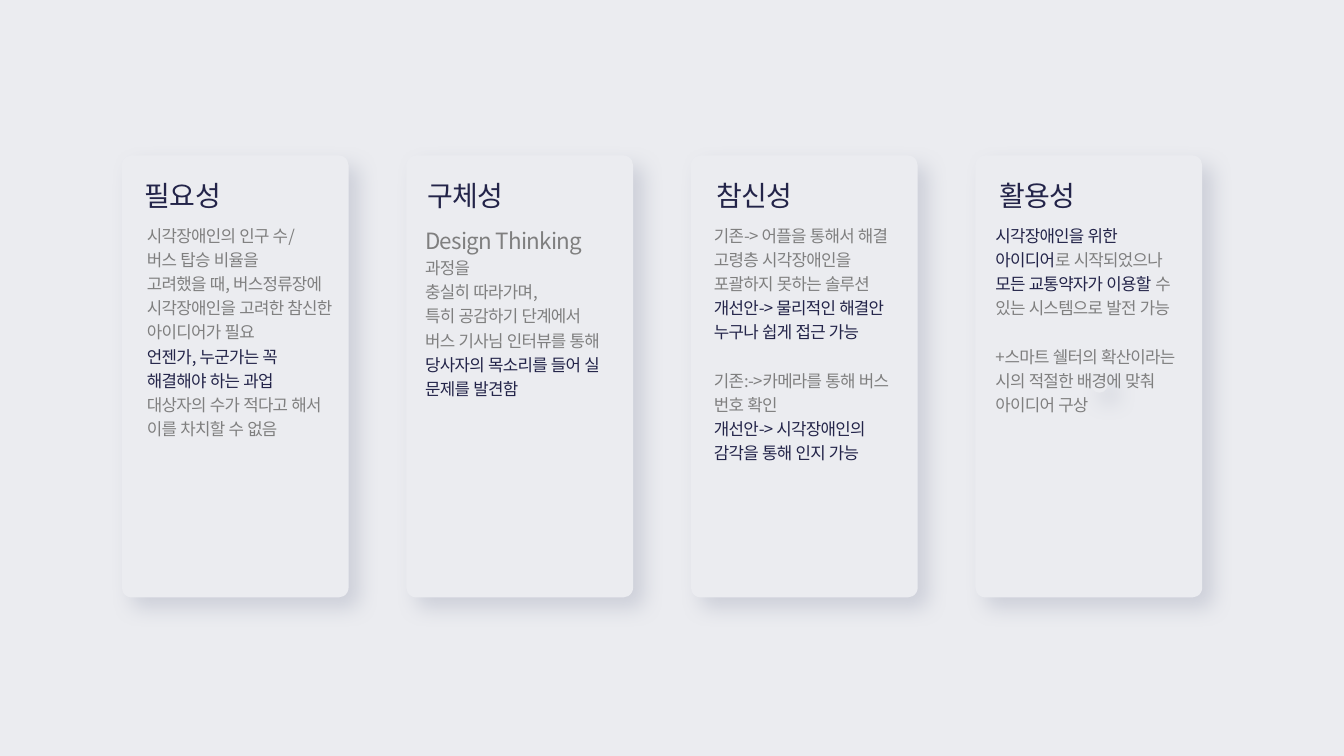
from dataclasses import dataclass

from lxml.etree import SubElement
from pptx import Presentation
from pptx.dml.color import RGBColor
from pptx.enum.lang import MSO_LANGUAGE_ID
from pptx.enum.shapes import MSO_SHAPE
from pptx.enum.text import MSO_ANCHOR, MSO_AUTO_SIZE, PP_ALIGN
from pptx.oxml.ns import qn
from pptx.util import Emu, Pt


@dataclass(frozen=True)
class Theme:
    surface: str = "EBECF0"
    shade: str = "ACB0C0"
    navy: str = "232449"
    grey: str = "7F7F7F"
    font: str = "Noto Sans CJK KR"
    first_heading_font: str = "Noto Sans"
    heading: int = 20
    lead: int = 16
    body: int = 12
    line_spacing: float = 1.2
    section_gap: float = 17.25


class Board:
    PX = 9525

    def __init__(self, deck, theme):
        self.theme = theme
        self.slide = deck.slides.add_slide(deck.slide_layouts[6])
        fill = self.slide.background.fill
        fill.solid()
        fill.fore_color.rgb = RGBColor.from_string(theme.surface)

    def box(self, *lengths):
        return [Emu(length * self.PX) for length in lengths]

    def panel(self, preset, left, top, width, height):
        panel = self.slide.shapes.add_shape(preset, *self.box(left, top, width, height))
        panel.fill.solid()
        panel.fill.fore_color.rgb = RGBColor.from_string(self.theme.surface)
        panel.line.fill.background()
        panel.shadow.inherit = False
        effects = panel.element.spPr.find(qn("a:effectLst"))
        shadow = SubElement(effects, qn("a:outerShdw"), blurRad=str(Pt(15)),
                            dist=str(Pt(10)), dir="2700000", algn="tl", rotWithShape="0")
        shade = SubElement(shadow, qn("a:srgbClr"), val=self.theme.shade)
        SubElement(shade, qn("a:alpha"), val="47000")
        return panel

    def text_frame(self, left, top, width, height, wrap):
        frame = self.slide.shapes.add_textbox(*self.box(left, top, width, height)).text_frame
        frame.margin_left = frame.margin_right = frame.margin_top = frame.margin_bottom = 0
        frame.word_wrap = wrap
        frame.auto_size = MSO_AUTO_SIZE.SHAPE_TO_FIT_TEXT
        frame.vertical_anchor = MSO_ANCHOR.TOP
        return frame

    def run(self, paragraph, words, size, color, font):
        run = paragraph.add_run()
        run.text = words
        run.font.size = Pt(size)
        run.font.name = font
        run.font.language_id = MSO_LANGUAGE_ID.KOREAN
        run.font.color.rgb = RGBColor.from_string(color)
        properties = run.font._element
        properties.set("spc", "-50")
        SubElement(properties, qn("a:ea"), typeface=font)

    def heading(self, left, words, font):
        frame = self.text_frame(left, 170, 79, 33, False)
        self.run(frame.paragraphs[0], words, self.theme.heading, self.theme.navy, font)

    def body(self, left, height, sections):
        frame = self.text_frame(left, 211, 179, height, True)
        paragraph = None
        for section in sections:
            for position, phrases in enumerate(section):
                starts_section = paragraph is not None and position == 0
                paragraph = frame.add_paragraph() if paragraph else frame.paragraphs[0]
                paragraph.alignment = PP_ALIGN.LEFT
                paragraph.line_spacing = self.theme.line_spacing
                if starts_section:
                    paragraph.space_before = Pt(self.theme.section_gap)
                for words, color, size in phrases:
                    self.run(paragraph, words, size, color, self.theme.font)


THEME = Theme()


def plain(words, size=THEME.body):
    return words, THEME.grey, size


def key(words):
    return words, THEME.navy, THEME.body


CRITERIA = [
    ("필요성", THEME.first_heading_font, 22, 24, 209, [[
        [plain("시각장애인의 인구 수/")],
        [plain("버스 탑승 비율을")],
        [plain("고려했을 때, 버스정류장에 시각장애인을 고려한 참신한 아이디어가 필요")],
        [key("언젠가, 누군가는 꼭 해결해야 하는 과업")],
        [plain("대상자의 수가 적다고 해서 이를 차치할 수 없음")],
    ]]),
    ("구체성", THEME.font, 20, 18, 147, [[
        [plain("Design Thinking", THEME.lead), plain(" 과정을")],
        [plain("충실히 따라가며,")],
        [plain("특히 공감하기 단계에서 버스 기사님 인터뷰를 통해 "),
         key("당사자의 목소리를 들어 실 문제를 발견함")],
    ]]),
    ("참신성", THEME.font, 24, 22, 232, [[
        [plain("기존-> 어플을 통해서 해결")],
        [plain("고령층 시각장애인을")],
        [plain("포괄하지 못하는 솔루션")],
        [key("개선안-> 물리적인 해결안 누구나 쉽게 접근 가능")],
    ], [
        [plain("기존:->카메라를 통해 버스 번호 확인")],
        [key("개선안-> 시각장애인의 감각을 통해 인지 가능")],
    ]]),
    ("활용성", THEME.font, 23, 19, 186, [[
        [key("시각장애인을 위한 아이디어"), plain("로 시작되었으나")],
        [key("모든 교통약자가 이용할 "), plain("수 있는 시스템으로 발전 가능")],
    ], [
        [plain("+스마트 쉘터의 확산이라는 시의 적절한 배경에 맞춰 아이디어 구상")],
    ]]),
]
FIRST_CARD, CARD_PITCH = 116, 271


def main():
    deck = Presentation()
    deck.slide_width, deck.slide_height = Emu(1280 * Board.PX), Emu(720 * Board.PX)
    board = Board(deck, THEME)
    card_lefts = [FIRST_CARD + CARD_PITCH * place for place in range(len(CRITERIA))]
    for left in card_lefts:
        card = board.panel(MSO_SHAPE.ROUNDED_RECTANGLE, left, 148, 216, 421)
        card.adjustments[0] = 0.044
    board.panel(MSO_SHAPE.OVAL, 1039, 358, 16, 16)
    for left, criterion in zip(card_lefts, CRITERIA):
        name, font, heading_inset, body_inset, height, sections = criterion
        board.heading(left + heading_inset, name, font)
        board.body(left + body_inset, height, sections)
    deck.save("out.pptx")


if __name__ == "__main__":
    main()
